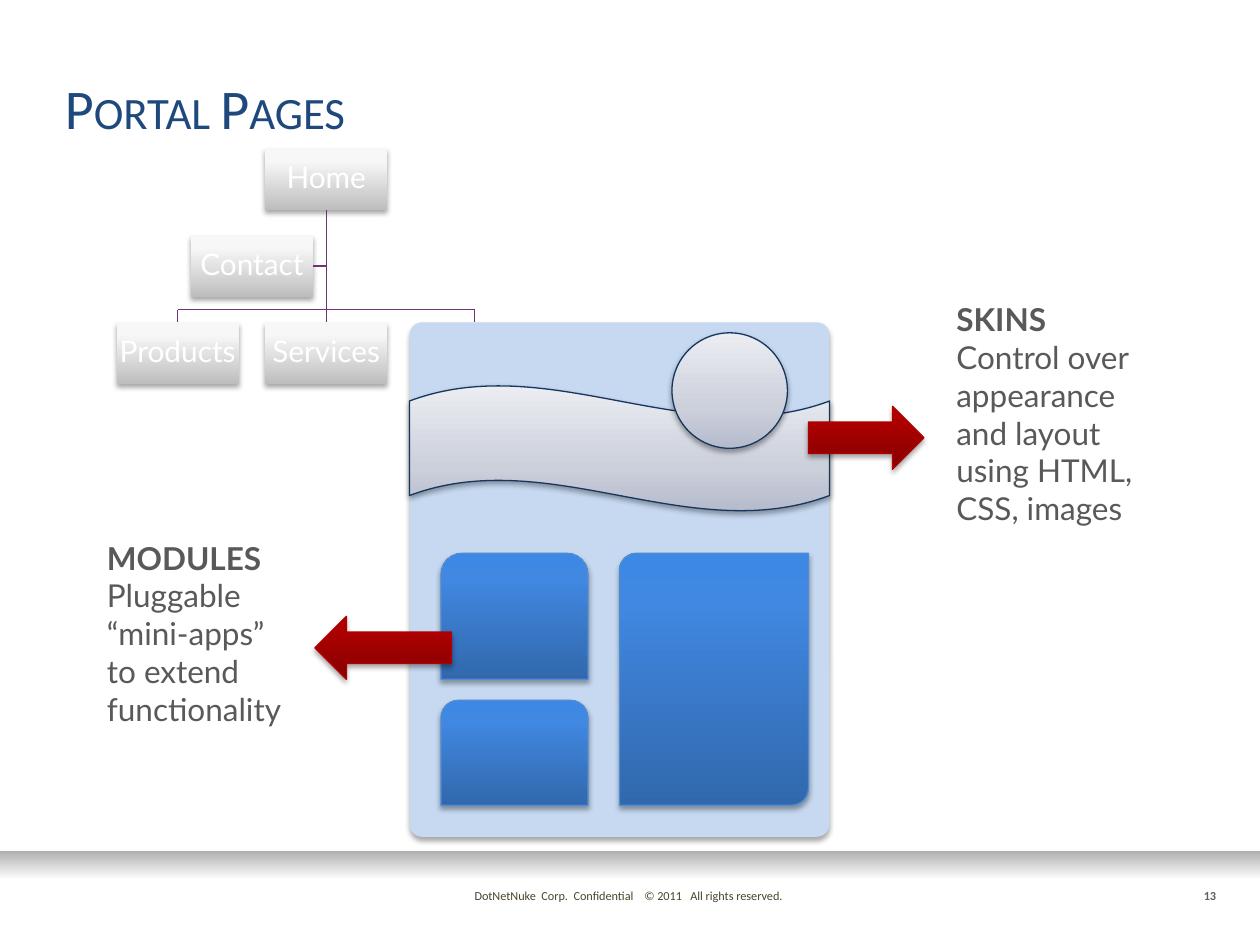
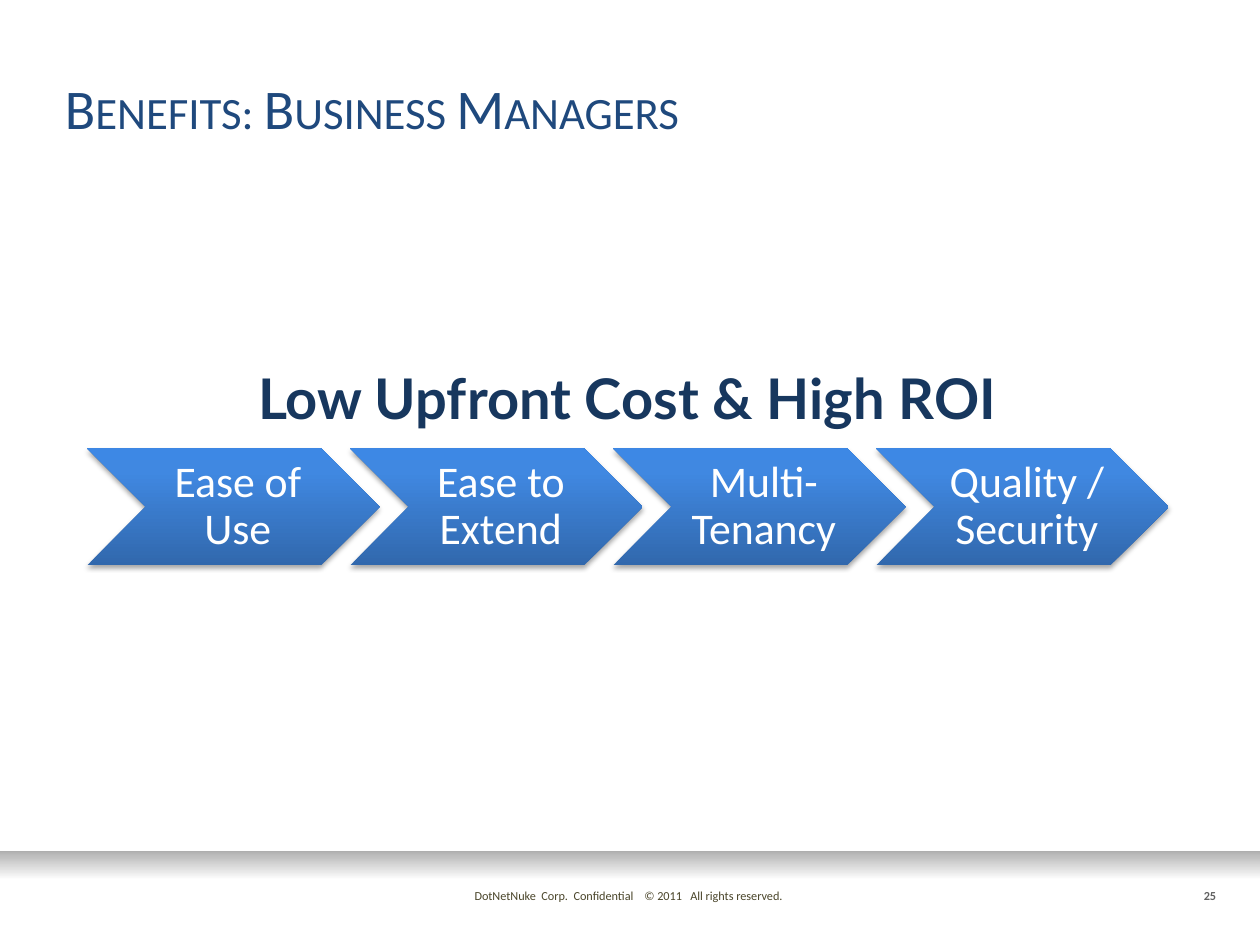
from lxml.etree import SubElement
from pptx import Presentation
from pptx.dml.color import RGBColor
from pptx.enum.shapes import MSO_CONNECTOR, MSO_SHAPE
from pptx.enum.text import MSO_ANCHOR, PP_ALIGN
from pptx.oxml.ns import qn
from pptx.util import Inches, Pt

# Content
PORTAL = {"title": "Portal Pages", "number": "13"}
BENEFITS = {"title": "Benefits: Business Managers", "number": "25"}
FOOTER = "DotNetNuke  Corp.  Confidential    © 2011   All rights reserved. "

SITE_TREE = {  # page: (column, row)
    "Home": (1, 0), "Contact": (0.5, 1), "Products": (0, 2), "Services": (1, 2),
}
NOTES = [  # heading, lines, place on the grid
    ("SKINS", ["Control over", "appearance", "and layout", "using HTML,", "CSS, images"],
     (89.9, 28, 29.2, 30.2)),
    ("MODULES", ["Pluggable", "“mini-apps”", "to extend", "functionality"],
     (9, 50.7, 27, 25.4)),
]
PAGE_PARTS = [  # shape, place on the grid, style, adjustments
    (MSO_SHAPE.ROUNDED_RECTANGLE, (39, 30.7, 40, 49), "page", [0.03]),
    (MSO_SHAPE.WAVE, (39, 36.7, 40, 12), "skin", []),
    (MSO_SHAPE.OVAL, (64, 31.7, 11, 11), "skin", []),
    (MSO_SHAPE.ROUND_2_DIAG_RECTANGLE, (59, 52.7, 18, 24), "module", [0.09, 0]),
    (MSO_SHAPE.ROUND_2_SAME_RECTANGLE, (42, 52.7, 14, 12), "module", []),
    (MSO_SHAPE.ROUND_2_SAME_RECTANGLE, (42, 66.7, 14, 10), "module", []),
    (MSO_SHAPE.RIGHT_ARROW, (77, 38.7, 11, 6), "pointer", []),
    (MSO_SHAPE.LEFT_ARROW, (30, 58.7, 13, 6), "pointer", []),
]
HEADLINE = "Low Upfront Cost & High ROI"
BENEFIT_STEPS = ["Ease of Use", "Ease to Extend", "Multi-Tenancy", "Quality / Security"]

# Look
COLORS = {
    "title": "1F497D", "footer": "4A452A", "number": "616161", "note": "595959",
    "headline": "17375E", "label": "FFFFFF", "link": "6F3275", "shadow": "000000",
}
FILLS = {  # gradient stops from bottom to top, or one plain stop
    "band": [(0, "ACACAC"), (11, "BFBFBF"), (56, "FFFFFF"), (100, "FFFFFF")],
    "tree": [(0, "BEBEBE"), (80, "F7F7F7"), (100, "F8F8F8")],
    "page": [(0, "C6D9F1")],
    "skin": [(0, "B5BBCC"), (35, "CCD0DB"), (100, "EBEDF2")],
    "module": [(0, "3168AD"), (80, "4088E1"), (100, "3D88E5")],
    "step": [(0, "3168AD"), (80, "4088E1"), (100, "3D88E5")],
    "pointer": [(0, "860000"), (80, "AE0000"), (100, "AF0000")],
}
OUTLINES = {"skin": "15365E", "module": "508BD3", "pointer": "B00000"}

# Grid: 12 cells to the inch, 120 columns by 90 rows
CELL = Inches(1) // 12
TREE_LEFT, TREE_TOP, TREE_W, TREE_H = 11.1, 14.15, 11.65, 5.83
TREE_COLUMN, TREE_ROW = 14.15, 8.28
STEP_LEFT, STEP_TOP, STEP_W, STEP_H, STEP_PITCH = 8.3, 42.7, 27.85, 11.15, 25.05


def cells(*values):
    return [round(value * CELL) for value in values]


def rgb(hex_color):
    return RGBColor.from_string(hex_color)


def write(paragraph, text, size, color, font="Calibri", bold=False):
    run = paragraph.add_run()
    run.text = text
    run.font.size, run.font.name, run.font.bold = Pt(size), font, bold
    run.font.color.rgb = rgb(COLORS[color])
    return run


def text_frame(slide, place):
    frame = slide.shapes.add_textbox(*cells(*place)).text_frame
    frame.word_wrap = True
    return frame


def paint(shape, style):
    stops = FILLS[style]
    if len(stops) == 1:
        shape.fill.solid()
        shape.fill.fore_color.rgb = rgb(stops[0][1])
        return
    shape.fill.gradient()
    shape.fill.gradient_angle = 90
    stop_list = shape.element.spPr.find(qn("a:gradFill")).find(qn("a:gsLst"))
    for old_stop in list(stop_list):
        stop_list.remove(old_stop)
    for position, color in stops:
        stop = SubElement(stop_list, qn("a:gs"), pos=str(position * 1000))
        SubElement(stop, qn("a:srgbClr"), val=color)


def cast_shadow(shape):
    effects = shape.element.spPr.find(qn("a:effectLst"))
    shadow = SubElement(effects, qn("a:outerShdw"), blurRad=str(Pt(3.1)),
                        dist=str(Pt(1.8)), dir="5400000", rotWithShape="0")
    color = SubElement(shadow, qn("a:srgbClr"), val=COLORS["shadow"])
    SubElement(color, qn("a:alpha"), val="35000")


def add_part(slide, kind, place, style, adjustments=(), shadow=True):
    shape = slide.shapes.add_shape(kind, *cells(*place))
    for index, value in enumerate(adjustments):
        shape.adjustments[index] = value
    paint(shape, style)
    if style in OUTLINES:
        shape.line.color.rgb = rgb(OUTLINES[style])
        shape.line.width = Pt(0.75)
    else:
        shape.line.fill.background()
    shape.shadow.inherit = False
    if shadow:
        cast_shadow(shape)
    return shape


def label(shape, text, size, font, insets):
    frame = shape.text_frame
    frame.word_wrap = True
    frame.vertical_anchor = MSO_ANCHOR.MIDDLE
    (frame.margin_left, frame.margin_top,
     frame.margin_right, frame.margin_bottom) = map(Inches, insets)
    paragraph = frame.paragraphs[0]
    paragraph.alignment = PP_ALIGN.CENTER
    paragraph.line_spacing = 0.9
    write(paragraph, text, size, "label", font)


def add_link(slide, start, end):
    link = slide.shapes.add_connector(MSO_CONNECTOR.STRAIGHT, *cells(*start, *end))
    link.line.color.rgb = rgb(COLORS["link"])
    link.line.width = Pt(0.75)
    SubElement(link.element.spPr, qn("a:effectLst"))
    return link


def add_slide(deck, content):
    slide = deck.slides.add_slide(deck.slide_layouts[6])
    band = add_part(slide, MSO_SHAPE.RECTANGLE, (0, 81, 120, 5), "band", shadow=False)
    band.rotation = 180

    number = text_frame(slide, (102, 84, 15, 2.6)).paragraphs[0]
    number.alignment = PP_ALIGN.RIGHT
    write(number, content["number"], 7, "number", bold=True)

    footer = text_frame(slide, (42, 84, 36, 2.6)).paragraphs[0]
    footer.alignment = PP_ALIGN.CENTER
    write(footer, FOOTER, 7, "footer")

    title_frame = text_frame(slide, (5, 6, 111, 8))
    title_frame.vertical_anchor = MSO_ANCHOR.BOTTOM
    title = title_frame.paragraphs[0]
    title.line_spacing = Pt(28)
    run = write(title, content["title"], 32, "title")
    run.font._element.set("cap", "small")
    return slide


def add_site_tree(slide):
    boxes = {}
    for page, (column, row) in SITE_TREE.items():
        place = (TREE_LEFT + column * TREE_COLUMN, TREE_TOP + row * TREE_ROW, TREE_W, TREE_H)
        boxes[page] = add_part(slide, MSO_SHAPE.RECTANGLE, place, "tree")
        label(boxes[page], page, 17, "Lato", [0.01] * 4)

    # Trunk, side branch and the bus above the bottom row
    left, middle, right = (TREE_LEFT + TREE_W / 2 + n * TREE_COLUMN for n in range(3))
    bottom_row = TREE_TOP + 2 * TREE_ROW
    bus = bottom_row - 1.2
    branch = TREE_TOP + TREE_ROW + TREE_H / 2
    trunk = add_link(slide, (middle, TREE_TOP + TREE_H), (middle, bottom_row))
    trunk.begin_connect(boxes["Home"], 2)
    trunk.end_connect(boxes["Services"], 0)
    add_link(slide, (middle, branch), (middle - 1.2, branch)).end_connect(boxes["Contact"], 3)
    add_link(slide, (left, bus), (right, bus))
    add_link(slide, (left, bus), (left, bottom_row)).end_connect(boxes["Products"], 0)
    add_link(slide, (right, bus), (right, bottom_row))


def add_note(slide, heading, lines, place):
    frame = text_frame(slide, place)
    write(frame.paragraphs[0], heading, 18, "note", "Lato", bold=True)
    body = frame.add_paragraph()
    for index, line in enumerate(lines):
        if index:
            body.add_line_break()
        write(body, line, 18, "note", "Lato")


def build_portal(deck):
    slide = add_slide(deck, PORTAL)
    add_site_tree(slide)
    for part in PAGE_PARTS:
        add_part(slide, *part)
    for note in NOTES:
        add_note(slide, *note)


def build_benefits(deck):
    slide = add_slide(deck, BENEFITS)
    for index, step in enumerate(BENEFIT_STEPS):
        place = (STEP_LEFT + index * STEP_PITCH, STEP_TOP, STEP_W, STEP_H)
        chevron = add_part(slide, MSO_SHAPE.CHEVRON, place, "step")
        label(chevron, step, 25, "Calibri", [0.11, 0.04, 0.04, 0.04])
    headline = text_frame(slide, (3, 34, 113.5, 7.7)).paragraphs[0]
    headline.alignment = PP_ALIGN.CENTER
    write(headline, HEADLINE, 32, "headline", "Lato", bold=True)


def main():
    deck = Presentation()
    deck.slide_width, deck.slide_height = cells(120, 90)
    build_portal(deck)
    build_benefits(deck)
    deck.save("out.pptx")


if __name__ == "__main__":
    main()
